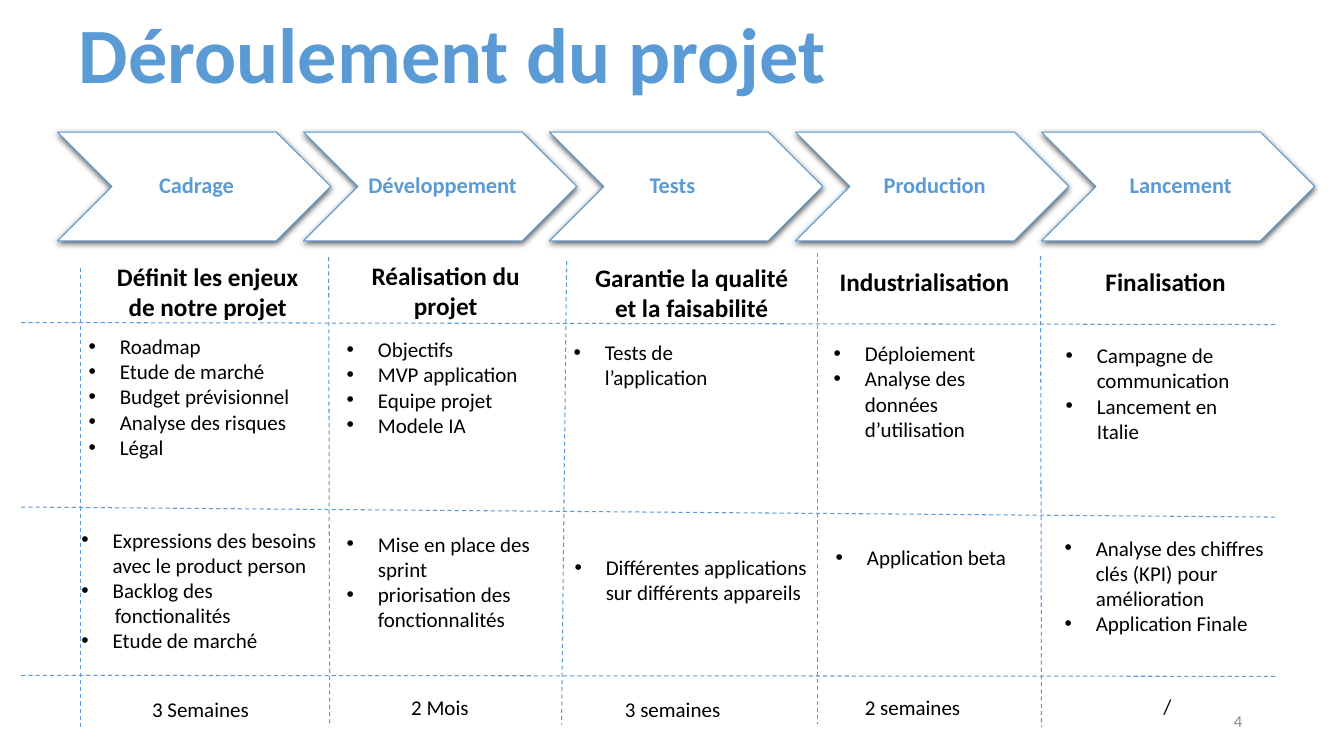
from dataclasses import dataclass

from lxml.etree import SubElement
from pptx import Presentation
from pptx.dml.color import RGBColor as RGB
from pptx.enum.dml import MSO_LINE
from pptx.enum.shapes import MSO_CONNECTOR, MSO_SHAPE
from pptx.enum.text import MSO_ANCHOR as ANCHOR
from pptx.enum.text import MSO_AUTO_SIZE as AUTO_SIZE
from pptx.enum.text import PP_ALIGN as ALIGN
from pptx.oxml.ns import qn
from pptx.util import Inches, Pt


@dataclass(frozen=True)
class Theme:
    font: str = "Calibri"
    blue: RGB = RGB(0x5B, 0x9B, 0xD5)
    black: RGB = RGB(0, 0, 0)
    white: RGB = RGB(0xFF, 0xFF, 0xFF)
    grey: RGB = RGB(0x8C, 0x8C, 0x8C)
    title: int = 56
    heading: int = 18
    step: int = 16
    body: int = 15
    number: int = 12
    rule: float = 0.75


THEME = Theme()
TITLE = "Déroulement du projet"
PAGE_NUMBER = "4"

# Each block: (left, top, width, height), then its text.
# A "+" marks a line that continues the bullet above it.
PHASES = [
    {"step": "Cadrage",
     "heading": ((0.97, 2.54, 2.18, 0.71), "Définit les enjeux de notre projet"),
     "lists": [
         ((0.78, 3.26, 2.49, 1.36), ["Roadmap", "Etude de marché", "Budget prévisionnel",
                                     "Analyse des risques", "Légal"]),
         ((0.71, 5.18, 2.95, 1.36), ["Expressions des besoins avec le product person",
                                     "Backlog des", "+fonctionalités", "Etude de marché"])],
     "duration": ((1.41, 6.86, 1.77, 0.35), "3 Semaines")},
    {"step": "Développement",
     "heading": ((3.33, 2.53, 2.18, 0.71), "Réalisation du projet"),
     "lists": [
         ((3.34, 3.29, 2.13, 1.11), ["Objectifs", "MVP application", "Equipe projet",
                                     "Modele IA"]),
         ((3.34, 5.22, 2.21, 1.36), ["Mise en place des sprint",
                                     "priorisation des fonctionnalités"])],
     "duration": ((3.98, 6.84, 1.77, 0.35), "2 Mois")},
    {"step": "Tests",
     "heading": ((5.77, 2.55, 2.18, 0.71), "Garantie la qualité et la faisabilité"),
     "lists": [
         ((5.59, 3.32, 1.93, 0.86), ["Tests de l’application"]),
         ((5.6, 5.45, 2.52, 0.61), ["Différentes applications sur différents appareils"])],
     "duration": ((6.1, 6.86, 1.77, 0.35), "3 semaines")},
    {"step": "Production",
     "heading": ((8.08, 2.59, 2.18, 0.71), "Industrialisation"),
     "lists": [
         ((8.17, 3.33, 1.93, 1.11), ["Déploiement", "Analyse des données d’utilisation"]),
         ((8.19, 5.35, 2.13, 0.35), ["Application beta"])],
     "duration": ((8.48, 6.84, 1.77, 0.35), "2 semaines")},
    {"step": "Lancement",
     "heading": ((10.47, 2.59, 2.18, 0.4), "Finalisation"),
     "lists": [
         ((10.47, 3.35, 1.93, 1.11), ["Campagne de communication", "Lancement en Italie"]),
         ((10.46, 5.26, 2.19, 1.36), ["Analyse des chiffres clés (KPI) pour amélioration",
                                      "Application Finale"])],
     "duration": ((11.44, 6.83, 1.77, 0.35), "/")},
]

COLUMN_RULES = [
    (0.8, 2.66, 0.8, 7.21), (3.26, 2.55, 3.27, 7.21), (5.62, 2.59, 5.57, 7.19),
    (8.11, 2.51, 8.11, 7.18), (10.32, 2.54, 10.33, 7.21),
]
ROW_RULES = [(0.21, 3.2, 12.66, 3.22), (0.21, 5.03, 12.66, 5.13), (0.21, 6.7, 12.65, 6.71)]

STEP_LEFT, STEP_TOP, STEP_WIDTH, STEP_HEIGHT, STEP_PITCH = 0.57, 1.31, 2.71, 1.08, 2.44
STEP_SHIFT = {"Tests": 0.32}  # extra right inset
HANG, CONTINUATION = 0.31, 0.33


def inches(values):
    return [Inches(value) for value in values]


def style(frame, size, color, bold=False, align=ALIGN.LEFT):
    for paragraph in frame.paragraphs:
        paragraph.alignment = align
        for run in paragraph.runs:
            run.font.name = THEME.font
            run.font.size = Pt(size)
            run.font.bold = bold
            run.font.color.rgb = color


def add_text(slide, box, text, size=THEME.body, color=THEME.black, **look):
    frame = slide.shapes.add_textbox(*inches(box)).text_frame
    frame.word_wrap = True
    frame.auto_size = AUTO_SIZE.SHAPE_TO_FIT_TEXT
    frame.text = text
    style(frame, size, color, **look)
    return frame


def add_list(slide, box, items):
    frame = add_text(slide, box, "\n".join(item.lstrip("+") for item in items))
    for paragraph, item in zip(frame.paragraphs, items):
        properties = paragraph._p.get_or_add_pPr()
        if item.startswith("+"):
            properties.set("marL", str(Inches(CONTINUATION)))
            continue
        properties.set("marL", str(Inches(HANG)))
        properties.set("indent", str(-Inches(HANG)))
        SubElement(properties, qn("a:buFont"), typeface="Arial")
        SubElement(properties, qn("a:buChar"), char="•")


def add_rule(slide, ends):
    rule = slide.shapes.add_connector(MSO_CONNECTOR.STRAIGHT, *inches(ends))
    rule.line.color.rgb = THEME.blue
    rule.line.width = Pt(THEME.rule)
    rule.line.dash_style = MSO_LINE.DASH
    SubElement(rule._element.spPr, qn("a:effectLst"))


def add_step(slide, index, label):
    box = (STEP_LEFT + index * STEP_PITCH, STEP_TOP, STEP_WIDTH, STEP_HEIGHT)
    step = slide.shapes.add_shape(MSO_SHAPE.CHEVRON, *inches(box))
    step.fill.solid()
    step.fill.fore_color.rgb = THEME.white
    step.line.color.rgb = THEME.blue
    step.line.width = Pt(THEME.rule)
    step.shadow.inherit = False
    effects = step._element.spPr.find(qn("a:effectLst"))
    shadow = SubElement(effects, qn("a:outerShdw"), blurRad=str(Pt(4.5)), dist=str(Pt(1.5)),
                        dir="5400000", algn="ctr", rotWithShape="0")
    tint = SubElement(shadow, qn("a:srgbClr"), val=str(THEME.black))
    SubElement(tint, qn("a:alpha"), val="63000")

    frame = step.text_frame
    frame.word_wrap = True
    frame.vertical_anchor = ANCHOR.MIDDLE
    frame.margin_left = Inches(0.07)
    frame.margin_top = frame.margin_bottom = Inches(0.02)
    frame.margin_right = Inches(0.02 + STEP_SHIFT.get(label, 0))
    frame.text = label
    frame.paragraphs[0].line_spacing = 0.9
    style(frame, THEME.step, THEME.blue, bold=True, align=ALIGN.CENTER)


def set_title(slide):
    title = slide.shapes.title
    title.left, title.top, title.width, title.height = inches((0.68, -0.15, 11.5, 1.45))
    title.fill.solid()
    title.fill.fore_color.rgb = THEME.white
    frame = title.text_frame
    frame.auto_size = AUTO_SIZE.NONE
    frame.vertical_anchor = ANCHOR.MIDDLE
    frame.text = TITLE
    frame.paragraphs[0].line_spacing = 0.9
    style(frame, THEME.title, THEME.blue, bold=True)


def main():
    deck = Presentation()
    deck.slide_width, deck.slide_height = inches((13.33, 7.5))
    slide = deck.slides.add_slide(deck.slide_layouts[5])
    set_title(slide)
    for index, phase in enumerate(PHASES):
        add_step(slide, index, phase["step"])
    for ends in COLUMN_RULES + ROW_RULES:
        add_rule(slide, ends)
    for phase in PHASES:
        add_text(slide, *phase["heading"], size=THEME.heading, bold=True, align=ALIGN.CENTER)
        for box, items in phase["lists"]:
            add_list(slide, box, items)
        add_text(slide, *phase["duration"])
    number = add_text(slide, (9.42, 6.95, 3, 0.4), PAGE_NUMBER, THEME.number, THEME.grey,
                      align=ALIGN.RIGHT)
    number.auto_size = AUTO_SIZE.NONE
    number.vertical_anchor = ANCHOR.MIDDLE
    deck.save("out.pptx")


if __name__ == "__main__":
    main()
